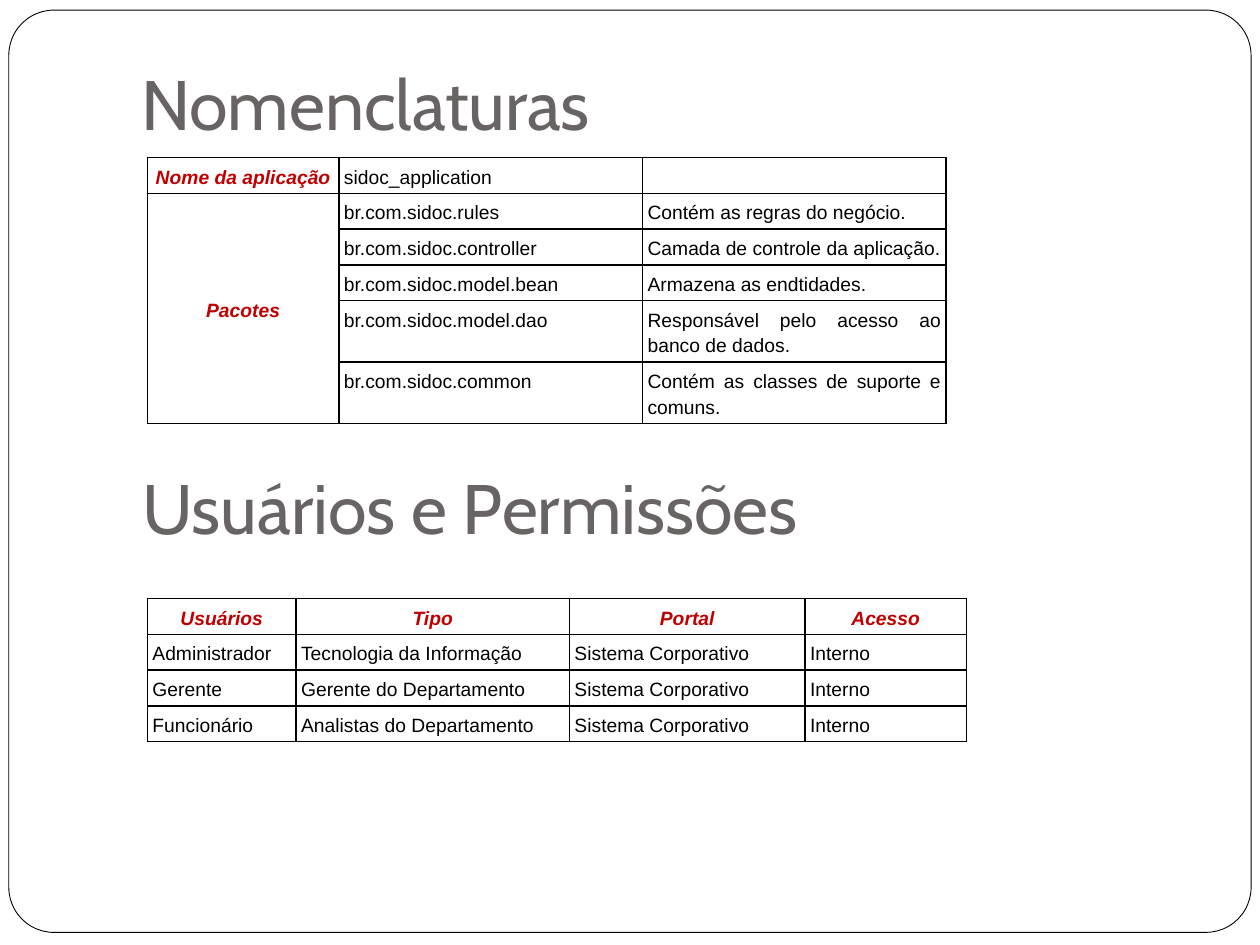
"""Build a slide with naming conventions and user permissions tables."""
from lxml import etree
from pptx import Presentation
from pptx.dml.color import RGBColor
from pptx.enum.shapes import MSO_SHAPE
from pptx.enum.text import MSO_ANCHOR, MSO_AUTO_SIZE, PP_ALIGN
from pptx.oxml.ns import qn
from pptx.util import Inches, Pt

ROUNDED = MSO_SHAPE.ROUNDED_RECTANGLE
BOTTOM, MIDDLE, TOP = MSO_ANCHOR.BOTTOM, MSO_ANCHOR.MIDDLE, MSO_ANCHOR.TOP
LEFT, CENTER, JUSTIFY = PP_ALIGN.LEFT, PP_ALIGN.CENTER, PP_ALIGN.JUSTIFY
NO_AUTOFIT = MSO_AUTO_SIZE.NONE

COLORS = {"white": "FFFFFF", "black": "000000", "title": "696464", "label": "C00000"}
FRAME = (0.07, 0.08, 9.86, 7.32)
TITLES = [
    ("Nomenclaturas", (1.02, 0, 8.5, 1.25)),
    ("Usuários e Permissões", (1.03, 3.2, 8.5, 1.25)),
]
TABLES = [
    {
        "position": (1.17, 1.25),
        "columns": [1.52, 2.41, 2.41],
        "heights": [0.28] * 4 + [0.48] * 2,
        "labels": {(0, 0), (1, 0)},
        "merge": ((1, 0), (5, 0)),
        "rows": [
            ("Nome da aplicação", "sidoc_application", ""),
            ("Pacotes", "br.com.sidoc.rules", "Contém as regras do negócio."),
            ("", "br.com.sidoc.controller", "Camada de controle da aplicação."),
            ("", "br.com.sidoc.model.bean", "Armazena as endtidades."),
            ("", "br.com.sidoc.model.dao", "Responsável pelo acesso ao banco de dados."),
            ("", "br.com.sidoc.common", "Contém as classes de suporte e comuns."),
        ],
    },
    {
        "position": (1.17, 4.75),
        "columns": [1.18, 2.17, 1.87, 1.28],
        "heights": [0.28] * 4,
        "labels": {(0, column) for column in range(4)},
        "merge": None,
        "rows": [
            ("Usuários", "Tipo", "Portal", "Acesso"),
            ("Administrador", "Tecnologia da Informação", "Sistema Corporativo", "Interno"),
            ("Gerente", "Gerente do Departamento", "Sistema Corporativo", "Interno"),
            ("Funcionário", "Analistas do Departamento", "Sistema Corporativo", "Interno"),
        ],
    },
]
TITLE_FONT = {"name": "Cabin", "size": Pt(40), "bold": False}
CELL_FONT = {"name": "Arial", "size": Pt(11)}
TITLE_FRAME = {
    "auto_size": NO_AUTOFIT, "word_wrap": True, "vertical_anchor": BOTTOM,
    "margin_left": Inches(0.1), "margin_right": Inches(0.1),
    "margin_top": Inches(0.05), "margin_bottom": Inches(0.1),
}
CELL_MARGINS = {f"margin_{side}": Inches(0.04) for side in ("left", "right", "top", "bottom")}
CELL_PARAGRAPH = {"line_spacing": 1.2, "space_before": Pt(6)}
TABLE_FLAGS = {"first_row": False, "horz_banding": False}


def apply(target, values):
    for name, value in values.items():
        setattr(target, name, value)


def color(name):
    return RGBColor.from_string(COLORS[name])


def add_frame(slide):
    frame = slide.shapes.add_shape(ROUNDED, *map(Inches, FRAME))
    frame.adjustments[0] = 0.049
    frame.shadow.inherit = False
    frame.fill.solid()
    frame.fill.fore_color.rgb = color("white")
    frame.line.color.rgb = color("black")
    frame.line.width = Pt(0.5)
    slide.shapes.element.insert(2, frame.element)


def format_title(shape, text, box):
    apply(shape, dict(zip(("left", "top", "width", "height"), map(Inches, box))))
    apply(shape.text_frame, TITLE_FRAME)
    paragraph = shape.text_frame.paragraphs[0]
    paragraph.alignment = LEFT
    run = paragraph.add_run()
    run.text = text
    apply(run.font, TITLE_FONT)
    run.font.color.rgb = color("title")


def add_borders(cell):
    properties = cell._tc.get_or_add_tcPr()
    for side in ("L", "R", "T", "B"):
        line = etree.SubElement(properties, qn(f"a:ln{side}"), w=str(Pt(1)))
        fill = etree.SubElement(line, qn("a:solidFill"))
        etree.SubElement(fill, qn("a:srgbClr"), val=COLORS["black"])


def fill_cell(cell, text, is_label):
    apply(cell, CELL_MARGINS)
    add_borders(cell)
    cell.fill.background()
    cell.vertical_anchor = MIDDLE if cell.is_merge_origin else TOP
    paragraph = cell.text_frame.paragraphs[0]
    apply(paragraph, CELL_PARAGRAPH)
    paragraph.alignment = CENTER if is_label else JUSTIFY
    if not text:
        etree.SubElement(paragraph._p, qn("a:endParaRPr"), sz="1100")
        return
    run = paragraph.add_run()
    run.text = text
    apply(run.font, {**CELL_FONT, "bold": is_label, "italic": is_label})
    run.font.color.rgb = color("label" if is_label else "black")


def add_table(slide, content):
    rows, columns, heights = content["rows"], content["columns"], content["heights"]
    size = (sum(columns), sum(heights))
    table = slide.shapes.add_table(
        len(rows), len(columns), *map(Inches, content["position"] + size)
    ).table
    apply(table, TABLE_FLAGS)
    for column, width in zip(table.columns, columns):
        column.width = Inches(width)
    for row, height in zip(table.rows, heights):
        row.height = Inches(height)
    if content["merge"]:
        first, last = content["merge"]
        table.cell(*first).merge(table.cell(*last))
    for row_index, row in enumerate(rows):
        for column_index, text in enumerate(row):
            place = (row_index, column_index)
            fill_cell(table.cell(*place), text, place in content["labels"])


def main():
    presentation = Presentation()
    presentation.slide_width, presentation.slide_height = Inches(10), Inches(7.5)
    slide = presentation.slides.add_slide(presentation.slide_layouts[5])
    add_frame(slide)
    (first_text, first_box), (second_text, second_box) = TITLES
    format_title(slide.shapes.title, first_text, first_box)
    add_table(slide, TABLES[0])
    second_title = slide.shapes.add_textbox(*map(Inches, second_box))
    format_title(second_title, second_text, second_box)
    add_table(slide, TABLES[1])
    presentation.save("out.pptx")


if __name__ == "__main__":
    main()
